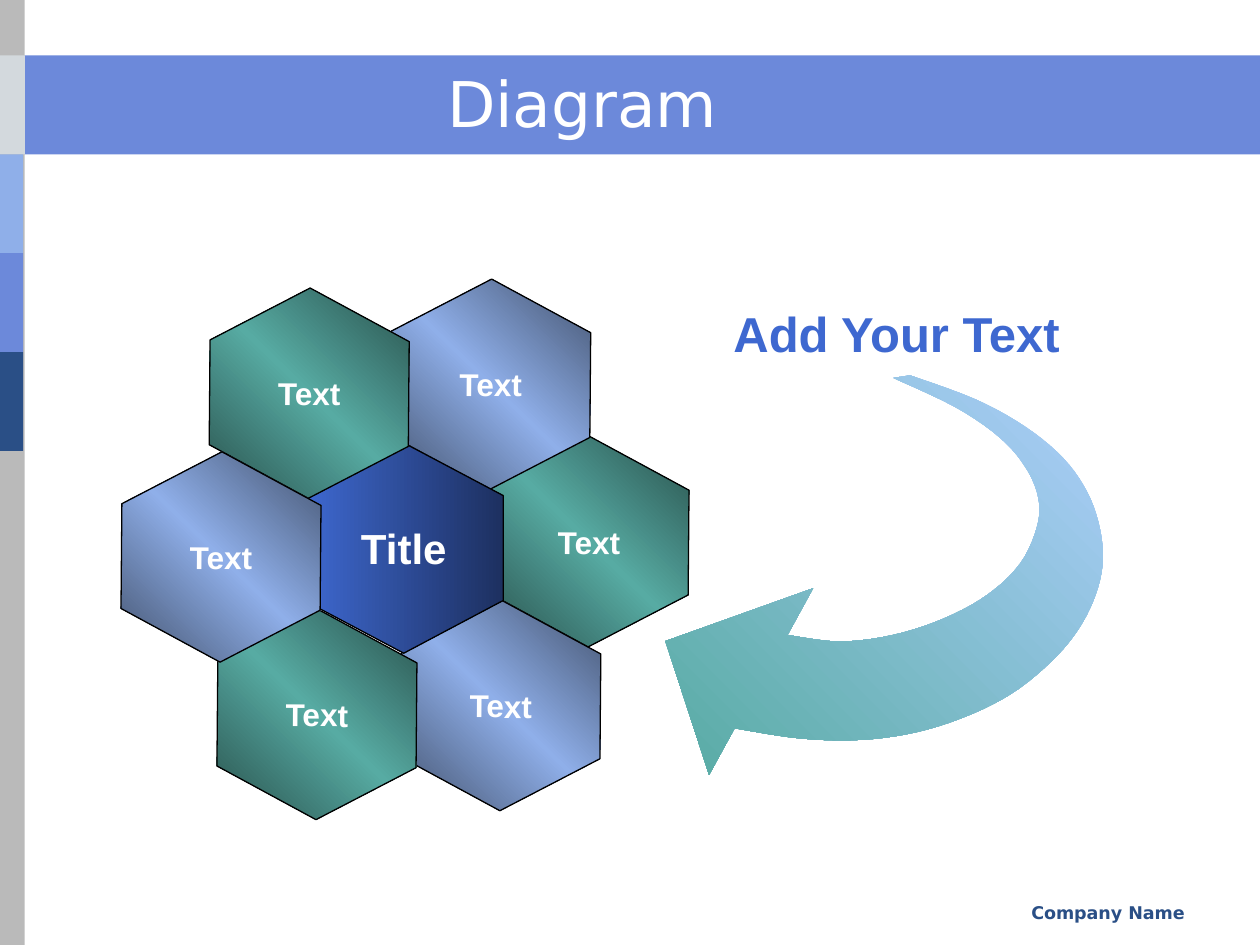
from lxml.etree import SubElement
from pptx import Presentation
from pptx.dml.color import RGBColor as RGB
from pptx.enum.shapes import MSO_SHAPE as Form
from pptx.enum.text import MSO_ANCHOR as Anchor, PP_ALIGN as Align
from pptx.oxml.ns import qn
from pptx.util import Pt

WHITE = RGB(0xFF, 0xFF, 0xFF)
BLACK = RGB(0, 0, 0)
GREY = RGB(0xBA, 0xBA, 0xBA)
PALE = RGB(0xD3, 0xD9, 0xDD)
SKY = RGB(0x8F, 0xAF, 0xE9)
BLUE = RGB(0x6C, 0x89, 0xDA)
NAVY = RGB(0x2A, 0x4F, 0x86)
ROYAL = RGB(0x3E, 0x68, 0xD0)
NIGHT = RGB(0x1D, 0x30, 0x60)
SLATE = RGB(0x42, 0x51, 0x6C)
PINE = RGB(0x28, 0x4F, 0x4B)
TEAL = RGB(0x57, 0xAB, 0xA3)
ICE = RGB(0xAE, 0xCF, 0xFC)

GREEN_MIX = (PINE, TEAL, PINE)
BLUE_MIX = (SLATE, SKY, SLATE)
SANS = "DejaVu Sans"

CELLS = [
    (276.5, 252.7, "Text", GREEN_MIX),
    (220.3, 162.7, "Text", BLUE_MIX),
    (226.1, 346.3, "Text", BLUE_MIX),
    (170.6, 256.3, "Title", (ROYAL, NIGHT)),
    (116.6, 167.8, "Text", GREEN_MIX),
    (121, 351.4, "Text", GREEN_MIX),
    (66.2, 261.4, "Text", BLUE_MIX),
]
OUTER = [
    (520, 214.5), (557.3, 228.2), (586, 244), (607.7, 262), (621.4, 281.5),
    (628.6, 302.4), (630, 323.3), (624.5, 344), (613.5, 363.6), (597.6, 381),
    (577.5, 396.7), (553, 409), (524.2, 418.3), (492.5, 422.8), (457.2, 422),
    (419.8, 416.2),
]
HEAD = [(405.2, 442.8), (380.2, 366.4), (464.6, 336.2)]
INNER = [
    (450, 362.9), (479.5, 366.6), (509.8, 363), (539.3, 353.5), (564.4, 339.8),
    (583, 322), (592.6, 301), (593.3, 284.4), (586, 267), (571, 249.8),
    (545.8, 232.6), (510.5, 216),
]


def curve(keys, steps=5):
    """Return points of a smooth line through the keys."""
    pts = [keys[0]]
    ends = [keys[0], *keys, keys[-1]]
    for a, b, c, d in zip(ends, ends[1:], ends[2:], ends[3:]):
        for i in range(1, steps + 1):
            t = i / steps
            pts.append(tuple(
                q + t * (r - p + t * (2 * p - 5 * q + 4 * r - s
                                      + t * (3 * (q - r) + s - p))) / 2
                for p, q, r, s in zip(a, b, c, d)))
    return pts


class Page:
    """Hold the style and the current slide."""

    def __init__(self, deck, font="Arial"):
        self.font = font
        self.slide = deck.slides.add_slide(deck.slide_layouts[6])
        self.shapes = self.slide.shapes

    def words(self, frame, text, size, color, font=None, bold=True, align=Align.CENTER):
        para = frame.paragraphs[0]
        para.alignment = align
        run = para.add_run()
        run.text = text
        run.font.name = font or self.font
        run.font.size = Pt(size)
        run.font.bold = bold
        run.font.color.rgb = color

    def blend(self, shape, mix, angle):
        shape.fill.gradient()
        grad = shape._element.spPr.find(qn("a:gradFill"))
        grad.set("rotWithShape", "0")
        stops = grad.find(qn("a:gsLst"))
        for stop in list(stops):
            stops.remove(stop)
        for i, color in enumerate(mix):
            stop = SubElement(stops, qn("a:gs"), pos=str(100000 * i // (len(mix) - 1)))
            SubElement(stop, qn("a:srgbClr"), val=str(color))
        grad.find(qn("a:lin")).set("ang", str(angle * 60000))

    def band(self, x, y, w, h, color):
        rect = self.shapes.add_shape(Form.RECTANGLE, Pt(x), Pt(y), Pt(w), Pt(h))
        rect.shadow.inherit = False
        rect.fill.solid()
        rect.fill.fore_color.rgb = color
        rect.line.fill.background()

    def label(self, x, y, w, h, text, size, color, wrap=True, anchor=Anchor.TOP, **style):
        frame = self.shapes.add_textbox(Pt(x), Pt(y), Pt(w), Pt(h)).text_frame
        frame.word_wrap = wrap
        frame.vertical_anchor = anchor
        self.words(frame, text, size, color, **style)

    def arrow(self, points, mix, angle):
        spots = [(Pt(x), Pt(y)) for x, y in points]
        pen = self.shapes.build_freeform(*spots[0])
        pen.add_line_segments(spots[1:], close=True)
        shape = pen.convert_to_shape()
        shape.shadow.inherit = False
        shape.line.fill.background()
        self.blend(shape, mix, angle)

    def comb(self, cells):
        group = self.shapes.add_group_shape()
        for x, y, text, mix in cells:
            main = text == "Title"
            cell = group.shapes.add_shape(Form.HEXAGON, Pt(x), Pt(y), Pt(120.2), Pt(113.8))
            cell.adjustments[0] = 0.265
            cell.rotation = 90 if main else 90.5
            cell.shadow.inherit = False
            cell.line.color.rgb = BLACK
            cell.line.width = Pt(0.75)
            self.blend(cell, mix, 0 if main else 314)
            frame = cell.text_frame
            frame.word_wrap = False
            frame.vertical_anchor = Anchor.MIDDLE
            frame._txBody.bodyPr.set("vert", "vert270")
            self.words(frame, text, 24 if main else 18, WHITE)


def main():
    deck = Presentation()
    deck.slide_width, deck.slide_height = Pt(720), Pt(540)
    page = Page(deck)
    top, step = 31.7, 56.5
    page.band(0, top, 720, step, BLUE)
    page.band(0, 0, 14.1, 540, GREY)
    for i, color in enumerate((PALE, SKY, BLUE, NAVY)):
        page.band(0, top + i * step, 13.2 if i else 14.2, step, color)
    page.label(455.8, 511.9, 228.2, 18, "Company Name", 10, NAVY,
               font=SANS, align=Align.RIGHT)
    page.label(41.8, 36, 581.8, 44.6, "Diagram", 36, WHITE,
               anchor=Anchor.MIDDLE, font=SANS, bold=False)
    page.arrow(curve(OUTER) + HEAD + curve(INNER), (ICE, TEAL), 135)
    page.comb(CELLS)
    page.label(409.7, 169.9, 205.2, 41, "Add Your Text", 28, ROYAL, wrap=False)
    deck.save("out.pptx")


if __name__ == "__main__":
    main()
